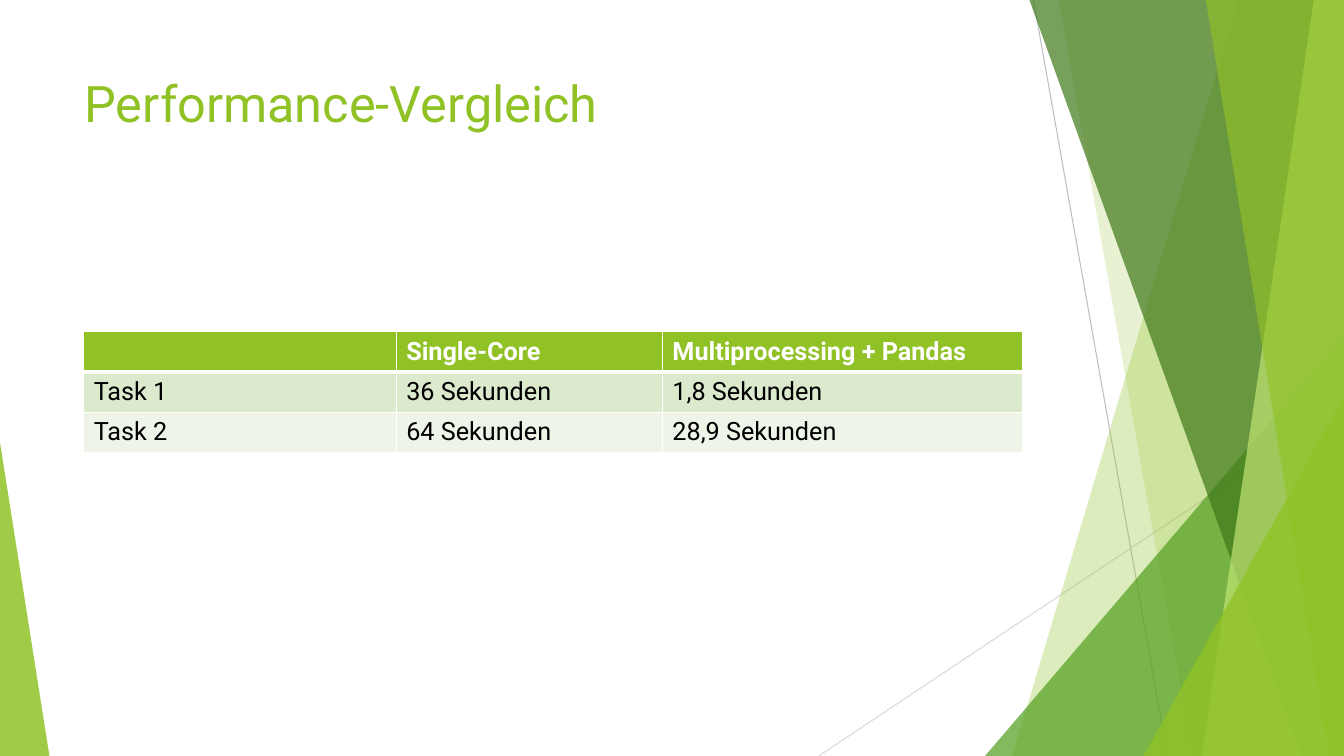
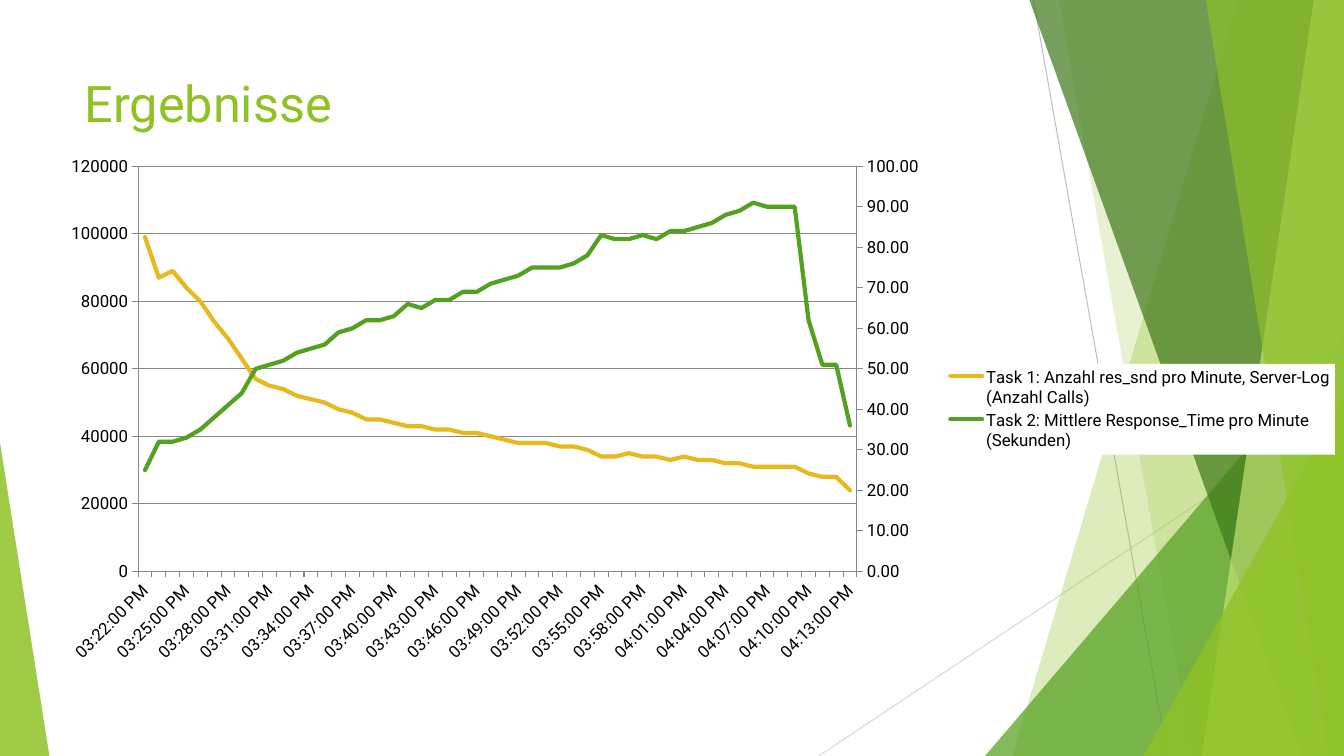
from copy import deepcopy

from lxml.etree import SubElement
from pptx import Presentation
from pptx.chart.data import CategoryChartData
from pptx.dml.color import RGBColor
from pptx.enum.chart import XL_CHART_TYPE, XL_LEGEND_POSITION, XL_MARKER_STYLE, XL_TICK_MARK
from pptx.enum.shapes import MSO_CONNECTOR, MSO_SHAPE
from pptx.oxml import parse_xml
from pptx.oxml.ns import nsdecls, qn
from pptx.util import Inches, Pt

WIDTH, HEIGHT = 13.33, 7.5
FONT = "Roboto"
COLORS = {
    "lime": "90C226", "leaf": "54A021", "forest": "3F7819", "pale": "C0E474",
    "gold": "E6B91E", "silver": "BFBFBF", "mist": "D9D9D9", "axis": "868686",
    "row_dark": "DBE9CD", "row_light": "EEF4E8", "white": "FFFFFF", "black": "000000",
}

RAYS = [((10.25, 0), (11.58, HEIGHT), "silver"), ((WIDTH, 4.03), (8.12, HEIGHT), "mist")]
FACETS = [
    ("band", 12.28, 10.04, "lime", 30),
    ("band", 10.5, 11.83, "lime", 20),
    ("right corner", 3.56, 4.17, "leaf", 72),
    ("band", 10.21, 12.91, "forest", 70),
    ("band", 13.03, 11.92, "pale", 70),
    ("band", 11.96, 13.18, "lime", 65),
    ("right corner", 1.99, 3.57, "lime", 80),
    ("left corner", 0.49, 3.11, "lime", 85),
]

TIMINGS = [
    ("", "Single-Core", "Multiprocessing + Pandas"),
    ("Task 1", "36 Sekunden", "1,8 Sekunden"),
    ("Task 2", "64 Sekunden", "28,9 Sekunden"),
]
TIMING_COLUMNS = [3.1, 2.64, 3.57]
TIMING_ROW = 0.4
TIMING_FILLS = ["lime", "row_dark", "row_light"]

DAY, MINUTES_PER_DAY = 41937, 24 * 60
FIRST_MINUTE = 15 * 60 + 22
CLOCK_FORMAT = "hh:mm:ss AM/PM"
CALLS = [
    99, 87, 89, 84, 80, 74, 69, 63, 57, 55, 54, 52, 51, 50, 48, 47, 45, 45, 44, 43, 43, 42, 42,
    41, 41, 40, 39, 38, 38, 38, 37, 37, 36, 34, 34, 35, 34, 34, 33, 34, 33, 33, 32, 32, 31, 31,
    31, 31, 29, 28, 28, 24,
]
SECONDS = [
    25, 32, 32, 33, 35, 38, 41, 44, 50, 51, 52, 54, 55, 56, 59, 60, 62, 62, 63, 66, 65, 67, 67,
    69, 69, 71, 72, 73, 75, 75, 75, 76, 78, 83, 82, 82, 83, 82, 84, 84, 85, 86, 88, 89, 91, 90,
    90, 90, 62, 51, 51, 36,
]
MEASURES = [
    ("Task 1: Anzahl res_snd pro Minute, Server-Log (Anzahl Calls)",
     [thousands * 1000 for thousands in CALLS], "gold"),
    ("Task 2: Mittlere Response_Time pro Minute (Sekunden)", SECONDS, "leaf"),
]
CHART_SIZE = (12.88, 5.22)
PLOT_BOX = (0.92, 0.2, 7.13, 4.02)
LEGEND_BOX = (8.93, 2.16, 3.86, 0.9)


def rgb(name):
    return RGBColor.from_string(COLORS[name])


def style_font(font, size, color, bold=False):
    font.name, font.size, font.bold = FONT, Pt(size), bold
    font.color.rgb = rgb(color)


def add_ray(slide, start, end, color):
    ray = slide.shapes.add_connector(MSO_CONNECTOR.STRAIGHT, *map(Inches, start + end))
    ray.line.color.rgb = rgb(color)
    ray.line.width = Pt(0.75)
    SubElement(ray._element.spPr, qn("a:effectLst"))


def add_facet(slide, kind, first, second, color, opacity):
    if kind == "band":
        outline = slide.shapes.build_freeform(Inches(first), 0)
        corners = [(WIDTH, 0), (WIDTH, HEIGHT), (second, HEIGHT)]
        outline.add_line_segments([(Inches(x), Inches(y)) for x, y in corners], close=True)
        facet = outline.convert_to_shape()
    else:
        on_right = kind == "right corner"
        left = WIDTH - first if on_right else 0
        facet = slide.shapes.add_shape(
            MSO_SHAPE.ISOSCELES_TRIANGLE,
            *map(Inches, (left, HEIGHT - second, first, second)))
        facet.adjustments[0] = 1 if on_right else 0
    facet.shadow.inherit = False
    facet.fill.solid()
    facet.fill.fore_color.rgb = rgb(color)
    facet.line.fill.background()
    tint = facet._element.spPr.find(qn("a:solidFill")).find(qn("a:srgbClr"))
    SubElement(tint, qn("a:alpha"), val=str(opacity * 1000))


def add_titled_slide(deck, heading):
    slide = deck.slides.add_slide(deck.slide_layouts[6])
    for ray in RAYS:
        add_ray(slide, *ray)
    for facet in FACETS:
        add_facet(slide, *facet)
    title = slide.shapes.add_textbox(*map(Inches, (0.74, 0.67, 9.4, 1.44))).text_frame
    title.word_wrap = True
    title.text = heading
    style_font(title.paragraphs[0].runs[0].font, 36, "lime")
    return slide


def add_borders(cell, bottom):
    sides = {"lnL": 1, "lnR": 1, "lnT": 1, "lnB": bottom}
    for place, (side, points) in enumerate(sides.items()):
        cell._tc.get_or_add_tcPr().insert(place, parse_xml(
            f'<a:{side} {nsdecls("a")} w="{Pt(points)}"><a:solidFill>'
            f'<a:srgbClr val="{COLORS["white"]}"/></a:solidFill></a:{side}>'))


def add_timings(slide):
    size = (sum(TIMING_COLUMNS), TIMING_ROW * len(TIMINGS))
    table = slide.shapes.add_table(
        len(TIMINGS), len(TIMING_COLUMNS), *map(Inches, (0.83, 3.29) + size)).table
    for column, width in zip(table.columns, TIMING_COLUMNS):
        column.width = Inches(width)
    for r, (entries, fill) in enumerate(zip(TIMINGS, TIMING_FILLS)):
        header = r == 0
        for c, entry in enumerate(entries):
            cell = table.cell(r, c)
            cell.text = entry
            cell.fill.solid()
            cell.fill.fore_color.rgb = rgb(fill)
            add_borders(cell, 3 if header else 1)
            for run in cell.text_frame.paragraphs[0].runs:
                style_font(run.font, 18, "white" if header else "black", header)


def manual_layout(box, inner=False):
    target = '<c:layoutTarget val="inner"/>' if inner else ""
    modes = "".join(f'<c:{side}Mode val="edge"/>' for side in "xy")
    values = "".join(f'<c:{key} val="{length / whole:.4f}"/>'
                     for key, length, whole in zip("xywh", box, CHART_SIZE * 2))
    return parse_xml(f'<c:layout {nsdecls("c")}><c:manualLayout>{target}{modes}{values}'
                     '</c:manualLayout></c:layout>')


def style_value_axis(axis, top, step, number_format):
    axis.minimum_scale, axis.maximum_scale, axis.major_unit = 0, top, step
    axis.tick_labels.number_format = number_format
    axis.tick_labels.number_format_is_linked = False


def move_last_series_to_right_axis(chart):
    plot_area = chart._chartSpace.chart.plotArea
    calls = plot_area.find(qn("c:lineChart"))
    seconds = deepcopy(calls)
    calls.remove(calls.findall(qn("c:ser"))[1])
    seconds.remove(seconds.findall(qn("c:ser"))[0])
    calls.addnext(seconds)
    times, scale = plot_area.find(qn("c:catAx")), plot_area.find(qn("c:valAx"))
    right_times, right_scale = deepcopy(times), deepcopy(scale)
    scale.addnext(right_scale)
    right_scale.addnext(right_times)
    ids = {times.find(qn("c:axId")).get("val"): "5001",
           scale.find(qn("c:axId")).get("val"): "5002"}
    for part in (seconds, right_times, right_scale):
        for reference in part.findall(qn("c:axId")) + part.findall(qn("c:crossAx")):
            reference.set("val", ids[reference.get("val")])
    right_times.find(qn("c:delete")).set("val", "1")
    right_scale.remove(right_scale.find(qn("c:majorGridlines")))
    right_scale.find(qn("c:axPos")).set("val", "r")
    right_scale.find(qn("c:crosses")).set("val", "max")
    right_scale.find(qn("c:numFmt")).set("formatCode", "0.00")
    right_scale.find(qn("c:majorUnit")).set("val", "10")
    right_scale.find(qn("c:scaling")).find(qn("c:max")).set("val", "100")


def add_measures(slide):
    data = CategoryChartData()
    data.categories = [DAY + (FIRST_MINUTE + i) / MINUTES_PER_DAY for i in range(len(CALLS))]
    data.categories.number_format = CLOCK_FORMAT
    for name, values, _ in MEASURES:
        data.add_series(name, values)
    chart = slide.shapes.add_chart(
        XL_CHART_TYPE.LINE, *map(Inches, (0.45, 1.45) + CHART_SIZE), data).chart
    chart.has_title = False
    style_font(chart.font, 12, "black")
    for series, (_, _, color) in zip(chart.plots[0].series, MEASURES):
        series.smooth = False
        series.marker.style = XL_MARKER_STYLE.NONE
        series.format.line.color.rgb = rgb(color)
        series.format.line.width = Pt(3)
        series._element.spPr.find(qn("a:ln")).set("cap", "rnd")
    chart.plots[0].vary_by_categories = False

    times, scale = chart.category_axis, chart.value_axis
    scale.has_major_gridlines = True
    for axis in (times, scale):
        axis.major_tick_mark = XL_TICK_MARK.OUTSIDE
        axis.minor_tick_mark = XL_TICK_MARK.NONE
    for ruled in (times, scale, scale.major_gridlines):
        ruled.format.line.color.rgb = rgb("axis")
        ruled.format.line.width = Pt(0.75)
    style_value_axis(scale, 120000, 20000, "0")
    style_font(times.tick_labels.font, 12, "black")
    times.tick_labels.number_format = CLOCK_FORMAT
    times.tick_labels.number_format_is_linked = False
    times._element.find(qn("c:auto")).set("val", "0")
    times._element.find(qn("c:txPr")).find(qn("a:bodyPr")).set("rot", "-2700000")
    times._element.find(qn("c:noMultiLvlLbl")).addprevious(
        parse_xml(f'<c:tickLblSkip {nsdecls("c")} val="3"/>'))

    chart.has_legend = True
    legend = chart.legend
    legend.position = XL_LEGEND_POSITION.RIGHT
    legend.include_in_layout = False
    style_font(legend.font, 12, "black")
    overlay = legend._element.find(qn("c:overlay"))
    for old in legend._element.findall(qn("c:layout")):
        legend._element.remove(old)
    overlay.addprevious(manual_layout(LEGEND_BOX))
    overlay.addnext(parse_xml(
        f'<c:spPr {nsdecls("c", "a")}><a:solidFill><a:srgbClr val="{COLORS["white"]}"/>'
        '</a:solidFill></c:spPr>'))

    plot_area = chart._chartSpace.chart.plotArea
    for old in plot_area.findall(qn("c:layout")):
        plot_area.remove(old)
    plot_area.insert(0, manual_layout(PLOT_BOX, inner=True))
    move_last_series_to_right_axis(chart)


def main():
    deck = Presentation()
    deck.slide_width, deck.slide_height = Inches(WIDTH), Inches(HEIGHT)
    add_timings(add_titled_slide(deck, "Performance-Vergleich"))
    add_measures(add_titled_slide(deck, "Ergebnisse"))
    deck.save("out.pptx")


if __name__ == "__main__":
    main()
